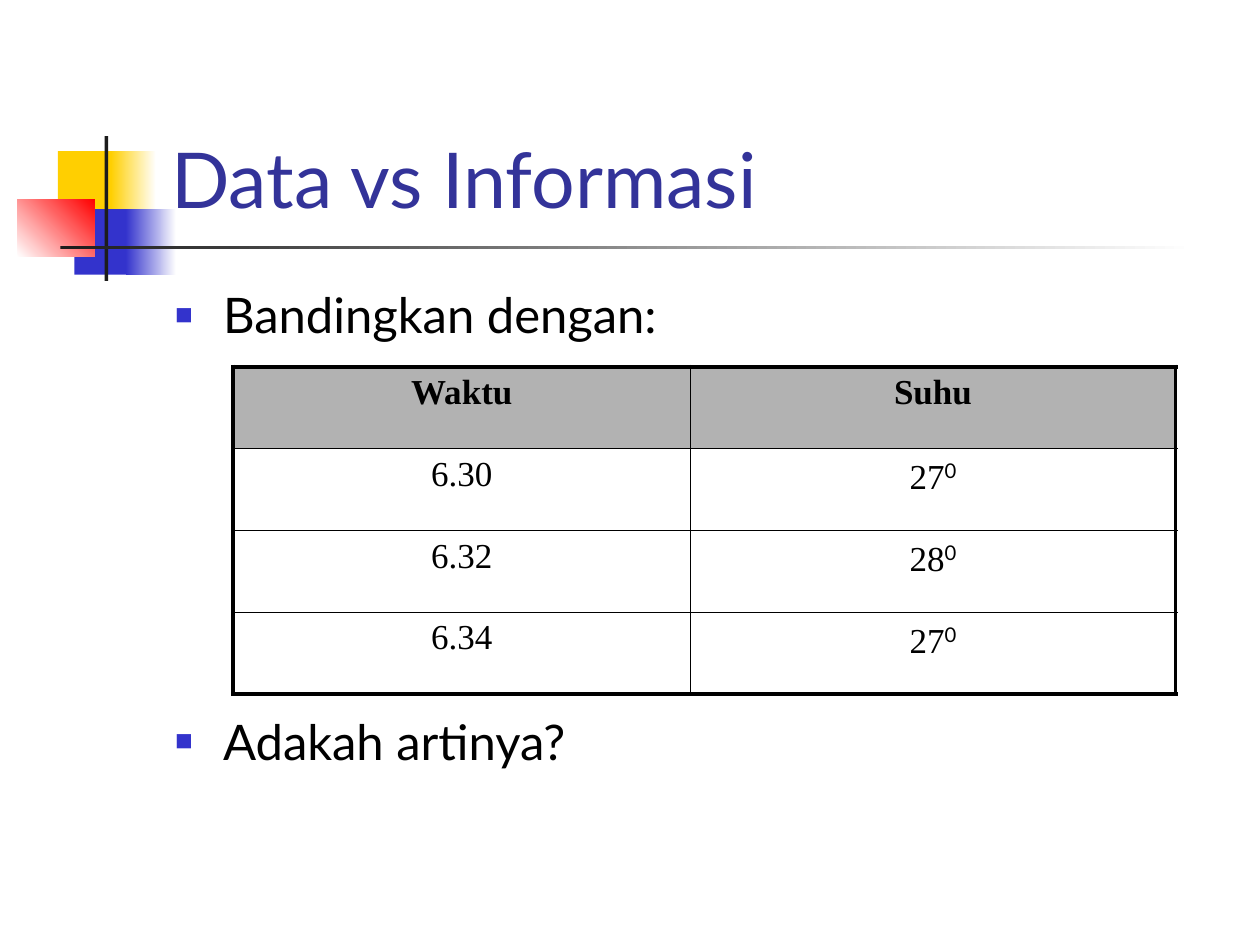
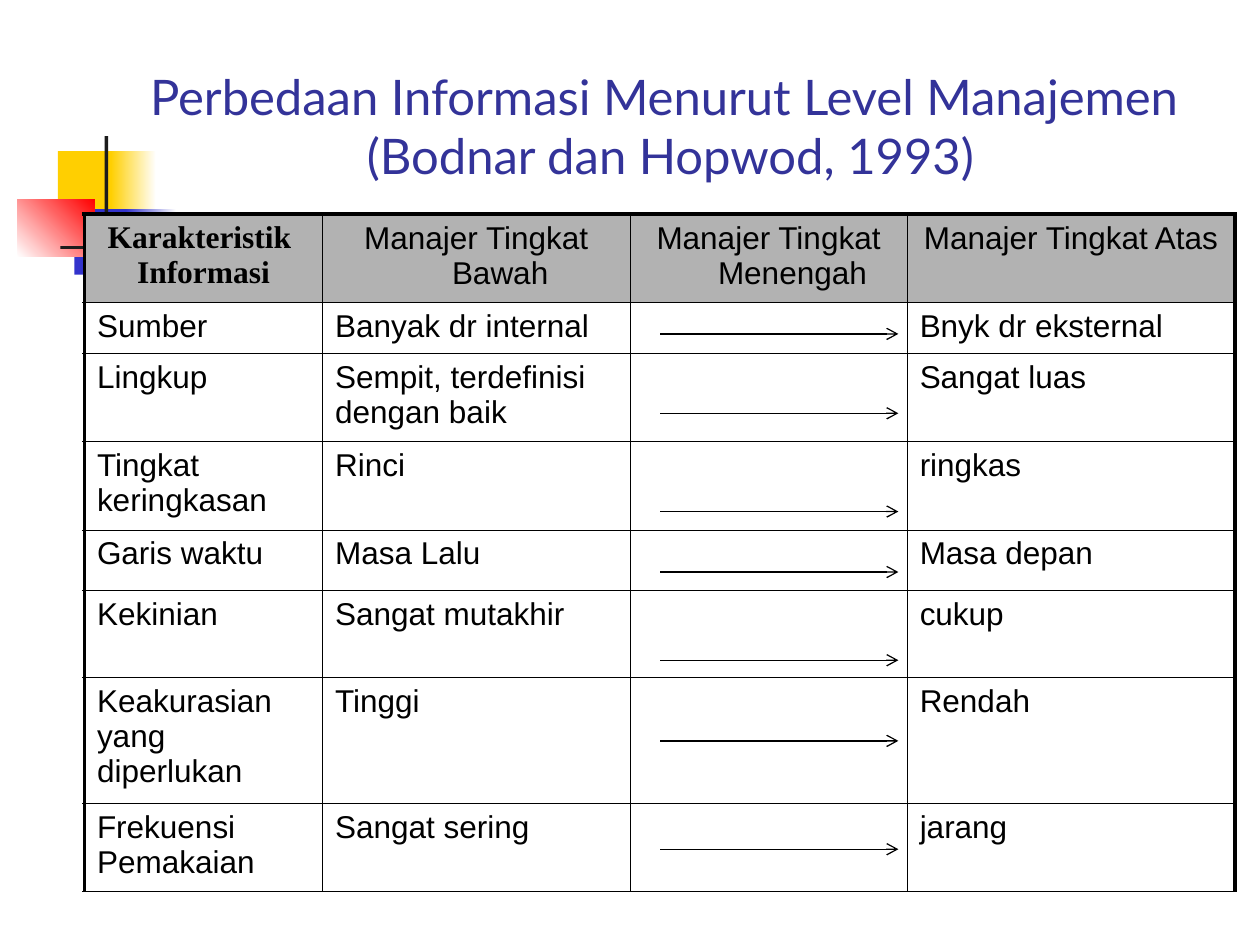
from lxml.etree import SubElement
from pptx import Presentation
from pptx.dml.color import RGBColor
from pptx.enum.shapes import MSO_CONNECTOR, MSO_SHAPE
from pptx.enum.text import MSO_ANCHOR, MSO_AUTO_SIZE, PP_ALIGN
from pptx.oxml.ns import qn
from pptx.util import Inches, Pt

COLORS = {
    "title": "333399",
    "text": "000000",
    "blue": "3333CC",
    "yellow": "FFCF01",
    "red": "FF0000",
    "bar": "1C1C1C",
    "header": "B2B2B2",
    "white": "FFFFFF",
}
HEADING_FONT, TABLE_FONT, SERIF_FONT = "Lato", "Arial", "Times New Roman"
HANGING = 0.38
THIN, THICK = 0.45, 2.5

# left, top, width, height, first color, last color (None for a plain fill), angle
DECORATIONS = [
    (0.46, 1.2, 0.48, 0.52, "yellow", None, 0),
    (0.88, 1.2, 0.36, 0.52, "yellow", "white", 0),
    (0.59, 1.66, 0.46, 0.52, "blue", None, 0),
    (1, 1.66, 0.4, 0.52, "blue", "white", 0),
    (0.14, 1.58, 0.61, 0.46, "white", "red", 45),
    (0.83, 1.08, 0.03, 1.15, "bar", None, 0),
    (0.48, 1.95, 9, 0.03, "bar", "white", 0),
]

TEMPERATURES = [("6.30", "27"), ("6.32", "28"), ("6.34", "27")]

MANAGER_LEVELS = ["Manajer Tingkat Bawah", "Manajer Tingkat Menengah", "Manajer Tingkat Atas"]
# characteristic, lower level, upper level, row height, arrow height on the slide
CHARACTERISTICS = [
    ("Sumber", "Banyak dr internal", "Bnyk dr eksternal", 0.4, 2.65),
    ("Lingkup", "Sempit, terdefinisi dengan baik", "Sangat luas", 0.7, 3.28),
    ("Tingkat keringkasan", "Rinci", "ringkas", 0.7, 4.06),
    ("Garis waktu", "Masa Lalu", "Masa depan", 0.48, 4.54),
    ("Kekinian", "Sangat mutakhir", "cukup", 0.69, 5.24),
    ("Keakurasian yang diperlukan", "Tinggi", "Rendah", 1, 5.88),
    ("Frekuensi Pemakaian", "Sangat sering", "jarang", 0.7, 6.74),
]


def rgb(name):
    return RGBColor.from_string(COLORS[name])


def place(shape, left, top, width, height):
    shape.left, shape.top = Inches(left), Inches(top)
    shape.width, shape.height = Inches(width), Inches(height)


def add_run(paragraph, text, size, font=HEADING_FONT, color="text", bold=False):
    run = paragraph.add_run()
    run.text = text
    run.font.size, run.font.name, run.font.bold = Pt(size), font, bold
    run.font.color.rgb = rgb(color)
    return run


def set_hanging(paragraph):
    properties = paragraph._p.get_or_add_pPr()
    properties.set("marL", str(Inches(HANGING)))
    properties.set("indent", str(-Inches(HANGING)))
    return properties


def add_decorations(presentation, slide):
    """Draw the corner motif and move it to the master, behind every slide."""
    master_tree = presentation.slide_master.shapes._spTree
    for number, (left, top, width, height, first, last, angle) in enumerate(DECORATIONS):
        shape = slide.shapes.add_shape(
            MSO_SHAPE.RECTANGLE, Inches(left), Inches(top), Inches(width), Inches(height))
        shape.shadow.inherit = False
        shape.line.fill.background()
        if last:
            shape.fill.gradient()
            shape.fill.gradient_angle = angle
            for stop, color in zip(shape.fill.gradient_stops, (first, last)):
                stop.color.rgb = rgb(color)
        else:
            shape.fill.solid()
            shape.fill.fore_color.rgb = rgb(first)
        shape._element.nvSpPr.cNvPr.set("id", str(100 + number))
        master_tree.append(shape._element)


def set_title(slide, lines, size, box, alignment=PP_ALIGN.LEFT):
    title = slide.shapes.title
    place(title, *box)
    frame = title.text_frame
    frame.word_wrap = True
    frame.auto_size = MSO_AUTO_SIZE.NONE
    frame.vertical_anchor = MSO_ANCHOR.BOTTOM
    paragraph = frame.paragraphs[0]
    paragraph.alignment = alignment
    for index, line in enumerate(lines):
        if index:
            paragraph.add_line_break()
        add_run(paragraph, line, size, color="title")


def add_bullet(paragraph, text, space_before):
    paragraph.space_before = Pt(space_before)
    properties = set_hanging(paragraph)
    bullet_color = SubElement(properties, qn("a:buClr"))
    SubElement(bullet_color, qn("a:srgbClr"), val=COLORS["blue"])
    SubElement(properties, qn("a:buSzPct"), val="60000")
    SubElement(properties, qn("a:buFont"), typeface=TABLE_FONT)
    SubElement(properties, qn("a:buChar"), char="■")
    add_run(paragraph, text, 28)


def set_borders(cell, widths):
    """Widths are in points, in the order left, right, top, bottom."""
    properties = cell._tc.get_or_add_tcPr()
    for side, width in zip("LRTB", widths):
        line = SubElement(properties, qn(f"a:ln{side}"), w=str(Pt(width)))
        fill = SubElement(line, qn("a:solidFill"))
        SubElement(fill, qn("a:srgbClr"), val=COLORS["text"])


def add_grid(slide, left, top, columns, rows, bottom_border):
    """Add an empty table with a grey header row and a thick outline."""
    table = slide.shapes.add_table(
        len(rows), len(columns), Inches(left), Inches(top),
        Inches(sum(columns)), Inches(sum(rows))).table
    table.first_row = table.horz_banding = False
    for column, width in zip(table.columns, columns):
        column.width = Inches(width)
    last_row, last_column = len(rows) - 1, len(columns) - 1
    for row_index, height in enumerate(rows):
        table.rows[row_index].height = Inches(height)
        for column_index in range(len(columns)):
            cell = table.cell(row_index, column_index)
            set_borders(cell, (
                THICK if column_index == 0 else THIN,
                THICK if column_index == last_column else THIN,
                THICK if row_index == 0 else THIN,
                bottom_border if row_index == last_row else THIN))
            cell.fill.solid()
            cell.fill.fore_color.rgb = rgb("white" if row_index else "header")
    return table


def write_cell(cell, text, size, font, bold=False, centered=False):
    paragraph = cell.text_frame.paragraphs[0]
    if centered:
        paragraph.alignment = PP_ALIGN.CENTER
    add_run(paragraph, text, size, font, bold=bold)
    return paragraph


def add_arrow(slide, start, end, height):
    arrow = slide.shapes.add_connector(
        MSO_CONNECTOR.STRAIGHT, Inches(start), Inches(height), Inches(end), Inches(height))
    arrow.line.color.rgb = rgb("text")
    arrow.line.width = Pt(0.75)
    SubElement(arrow.line._get_or_add_ln(), qn("a:tailEnd"), type="arrow")
    SubElement(arrow._element.spPr, qn("a:effectLst"))


def fill_comparison_slide(slide):
    set_title(slide, ["Data vs Informasi"], 44, (1.26, 0.23, 8.52, 1.6))
    body = slide.placeholders[1]
    place(body, 1.29, 2.21, 8.5, 4.5)
    frame = body.text_frame
    frame.auto_size = MSO_AUTO_SIZE.NONE
    add_bullet(frame.paragraphs[0], "Bandingkan dengan:", 7)
    add_bullet(frame.add_paragraph(), "Adakah artinya?", 210)

    table = add_grid(slide, 1.85, 2.91, [3.63, 3.85], [0.65] * 4, THICK)
    for column, heading in enumerate(("Waktu", "Suhu")):
        write_cell(table.cell(0, column), heading, 20, SERIF_FONT, bold=True, centered=True)
    for row, (time, temperature) in enumerate(TEMPERATURES, start=1):
        write_cell(table.cell(row, 0), time, 20, SERIF_FONT, centered=True)
        paragraph = write_cell(table.cell(row, 1), temperature, 20, SERIF_FONT, centered=True)
        degree = add_run(paragraph, "0", 20)
        degree.font._element.set("baseline", "30000")


def fill_levels_slide(slide):
    set_title(slide, ["Perbedaan Informasi Menurut Level Manajemen ", "(Bodnar dan Hopwod, 1993)"],
              28, (1.06, 0.28, 8.52, 1.23), PP_ALIGN.CENTER)
    heights = [0.7] + [row[3] for row in CHARACTERISTICS]
    table = add_grid(slide, 0.67, 1.7, [1.89, 2.44, 2.2, 2.6], heights, THIN)

    corner = table.cell(0, 0)
    set_hanging(write_cell(corner, "Karakteristik ", 18, SERIF_FONT, bold=True, centered=True))
    second_line = corner.text_frame.add_paragraph()
    second_line.alignment = PP_ALIGN.CENTER
    set_hanging(second_line)
    add_run(second_line, "Informasi", 18, SERIF_FONT, bold=True)
    for column, level in enumerate(MANAGER_LEVELS, start=1):
        set_hanging(write_cell(table.cell(0, column), level, 18, TABLE_FONT, centered=True))

    for row, (name, lower, upper, _, arrow_height) in enumerate(CHARACTERISTICS, start=1):
        for column, text in ((0, name), (1, lower), (3, upper)):
            write_cell(table.cell(row, column), text, 18, TABLE_FONT)
        add_arrow(slide, 5.24, 7.13, arrow_height)


def main():
    presentation = Presentation()
    presentation.slide_width, presentation.slide_height = Inches(10), Inches(7.5)
    title_and_content, title_only = presentation.slide_layouts[1], presentation.slide_layouts[5]

    comparison = presentation.slides.add_slide(title_and_content)
    add_decorations(presentation, comparison)
    fill_comparison_slide(comparison)
    fill_levels_slide(presentation.slides.add_slide(title_only))
    presentation.save("out.pptx")


if __name__ == "__main__":
    main()
